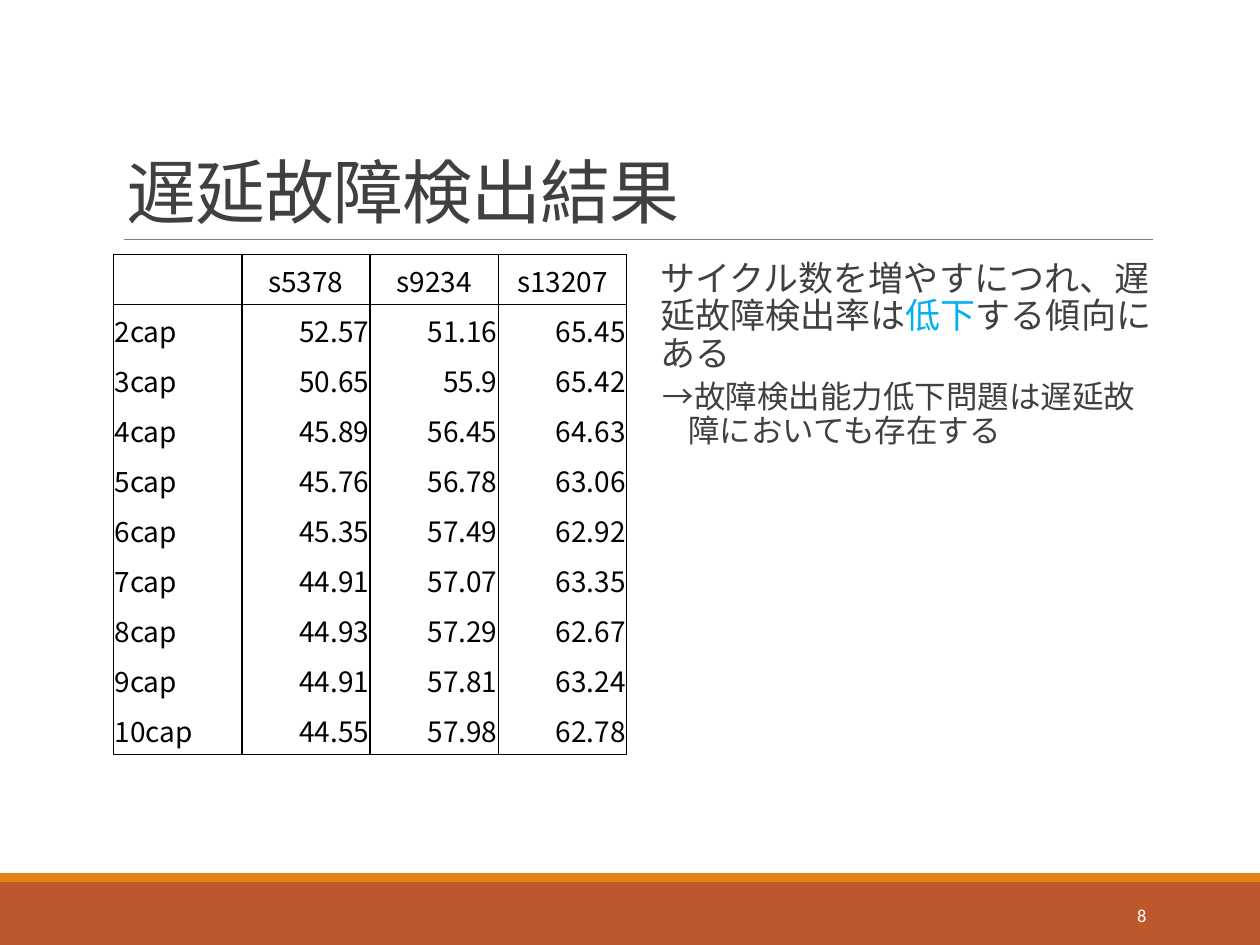
import pptx
import pptx.dml.color
import pptx.enum.shapes
import pptx.enum.text
import pptx.oxml
import pptx.oxml.ns
import pptx.util
from lxml import etree

Cm = pptx.util.Cm
Pt = pptx.util.Pt
RGBColor = pptx.dml.color.RGBColor
ALIGN = pptx.enum.text.PP_ALIGN
ANCHOR = pptx.enum.text.MSO_ANCHOR
qn = pptx.oxml.ns.qn

RUST = RGBColor(0xBD, 0x58, 0x2C)
ORANGE = RGBColor(0xE4, 0x83, 0x12)
GRAY = RGBColor(0x80, 0x80, 0x80)
DARK = RGBColor(0x40, 0x40, 0x40)
SKY = RGBColor(0x00, 0xB0, 0xF0)
BLACK = RGBColor(0, 0, 0)
WHITE = RGBColor(0xFF, 0xFF, 0xFF)
LATIN = "Calibri"
CJK = "Noto Sans CJK JP"

COVERAGE = [
    ["", "s5378", "s9234", "s13207"],
    ["2cap", "52.57", "51.16", "65.45"],
    ["3cap", "50.65", "55.9", "65.42"],
    ["4cap", "45.89", "56.45", "64.63"],
    ["5cap", "45.76", "56.78", "63.06"],
    ["6cap", "45.35", "57.49", "62.92"],
    ["7cap", "44.91", "57.07", "63.35"],
    ["8cap", "44.93", "57.29", "62.67"],
    ["9cap", "44.91", "57.81", "63.24"],
    ["10cap", "44.55", "57.98", "62.78"],
]


def add_text(paragraph, text, size, color=DARK, font=LATIN, spacing=None):
    run = paragraph.add_run()
    run.text = text
    run.font.size = Pt(size)
    run.font.name = font
    run.font.color.rgb = color
    properties = run.font._element
    etree.SubElement(properties, qn("a:ea")).set("typeface", CJK)
    if spacing is not None:
        properties.set("spc", str(spacing))


def place(shape, left, top, width, height):
    shape.left, shape.top = Cm(left), Cm(top)
    shape.width, shape.height = Cm(width), Cm(height)


def add_band(slide, top, height, color):
    band = slide.shapes.add_shape(
        pptx.enum.shapes.MSO_SHAPE.RECTANGLE, 0, Cm(top), Cm(25.4), Cm(height))
    band.shadow.inherit = False
    band.fill.solid()
    band.fill.fore_color.rgb = color
    band.line.fill.background()


def add_rule(slide, left, right, y):
    rule = slide.shapes.add_connector(
        pptx.enum.shapes.MSO_CONNECTOR.STRAIGHT, Cm(left), Cm(y), Cm(right), Cm(y))
    rule.line.color.rgb = GRAY
    rule.line.width = Pt(0.5)
    etree.SubElement(rule._element.spPr, qn("a:effectLst"))


def fill_title(title):
    place(title, 2.29, 0.79, 20.95, 4.04)
    frame = title.text_frame
    frame.auto_size = pptx.enum.text.MSO_AUTO_SIZE.NONE
    frame.vertical_anchor = ANCHOR.BOTTOM
    heading = frame.paragraphs[0]
    heading.alignment = ALIGN.LEFT
    heading.line_spacing = 0.85
    add_text(heading, "遅延故障検出結果", 40, spacing=-50)


def set_borders(cell, visible):
    properties = cell._tc.get_or_add_tcPr()
    for side in "LRTB":
        border = etree.SubElement(properties, qn(f"a:ln{side}"), w=str(Pt(1)))
        if side in visible:
            paint = etree.SubElement(border, qn("a:solidFill"))
            etree.SubElement(paint, qn("a:srgbClr"), val=str(BLACK))
        else:
            etree.SubElement(border, qn("a:noFill"))


def add_coverage_table(slide):
    rows, columns = len(COVERAGE), len(COVERAGE[0])
    table = slide.shapes.add_table(
        rows, columns, Cm(2.29), Cm(5.13), Cm(10.34), Cm(10.08)).table
    table.first_row = False
    table.horz_banding = False
    for r, values in enumerate(COVERAGE):
        visible = "LR" + ("T" if r <= 1 else "") + ("B" if r in (0, rows - 1) else "")
        for c, value in enumerate(values):
            cell = table.cell(r, c)
            set_borders(cell, visible)
            cell.fill.background()
            cell.margin_left = cell.margin_right = cell.margin_top = Cm(0.02)
            cell.margin_bottom = 0
            cell.vertical_anchor = ANCHOR.MIDDLE
            paragraph = cell.text_frame.paragraphs[0]
            if r == 0:
                paragraph.alignment = ALIGN.CENTER
            else:
                paragraph.alignment = ALIGN.RIGHT if c else ALIGN.LEFT
            if value:
                add_text(paragraph, value, 16, BLACK, CJK)


def format_item(paragraph, margin, indent, after, bullet=None):
    properties = paragraph._p.get_or_add_pPr()
    properties.set("marL", str(Cm(margin)))
    properties.set("indent", str(Cm(indent)))
    if bullet:
        tint = etree.SubElement(properties, qn("a:buClr"))
        etree.SubElement(tint, qn("a:srgbClr"), val=str(ORANGE))
        etree.SubElement(properties, qn("a:buChar"), char=bullet)
    else:
        etree.SubElement(properties, qn("a:buNone"))
    paragraph.line_spacing = 0.9
    paragraph.space_after = Pt(after)


def fill_findings(body):
    place(body, 13.06, 5.13, 10.19, 11.18)
    frame = body.text_frame
    frame.auto_size = pptx.enum.text.MSO_AUTO_SIZE.NONE
    frame.word_wrap = True
    frame.margin_left = frame.margin_right = 0

    trend = frame.paragraphs[0]
    format_item(trend, 0.25, -0.25, 2, bullet=" ")
    trend.space_before = Pt(0)
    add_text(trend, "サイクル数を増やすにつれ、遅延故障検出率は", 20)
    add_text(trend, "低下", 20, SKY)
    add_text(trend, "する傾向にある", 20)

    conclusion = frame.add_paragraph()
    conclusion.level = 1
    format_item(conclusion, 0.81, -0.51, 4)
    conclusion.space_before = Pt(2)
    add_text(conclusion, "→故障検出能力低下問題は遅延故障においても存在する", 18)


def add_page_number(slide):
    box = slide.shapes.add_textbox(Cm(20.62), Cm(17.93), Cm(2.74), Cm(1.02))
    frame = box.text_frame
    frame.word_wrap = True
    frame.vertical_anchor = ANCHOR.MIDDLE
    number = frame.paragraphs[0]
    number.alignment = ALIGN.RIGHT
    add_text(number, "8", 10.5, WHITE)


def main():
    deck = pptx.Presentation()
    deck.slide_width, deck.slide_height = Cm(25.4), Cm(19.05)
    slide = deck.slides.add_slide(deck.slide_layouts[1])
    add_band(slide, 17.78, 1.27, RUST)
    add_band(slide, 17.6, 0.18, ORANGE)
    add_rule(slide, 2.49, 23.24, 4.83)
    fill_title(slide.shapes.title)
    add_coverage_table(slide)
    add_page_number(slide)
    fill_findings(slide.placeholders[1])
    deck.save("out.pptx")


if __name__ == "__main__":
    main()
